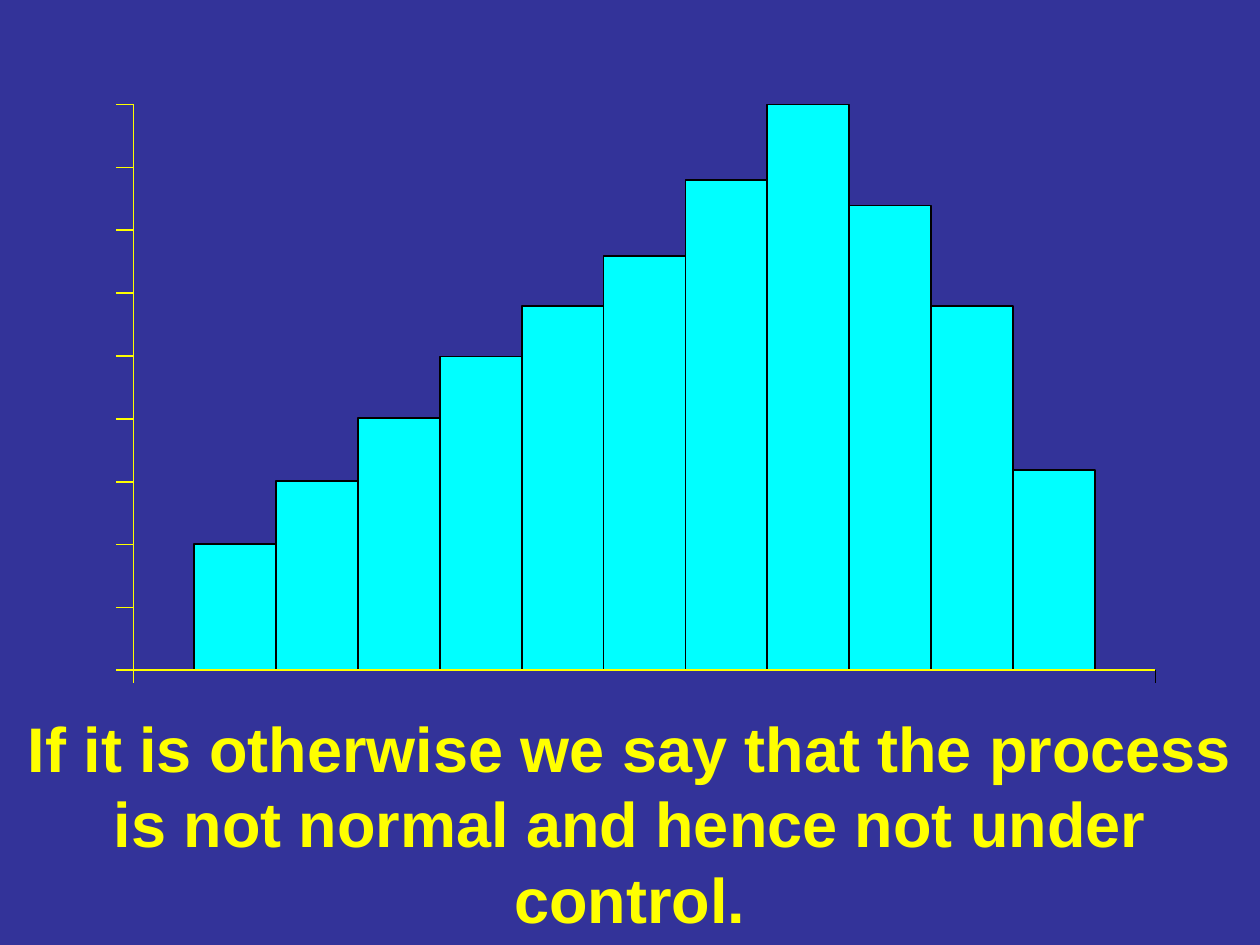
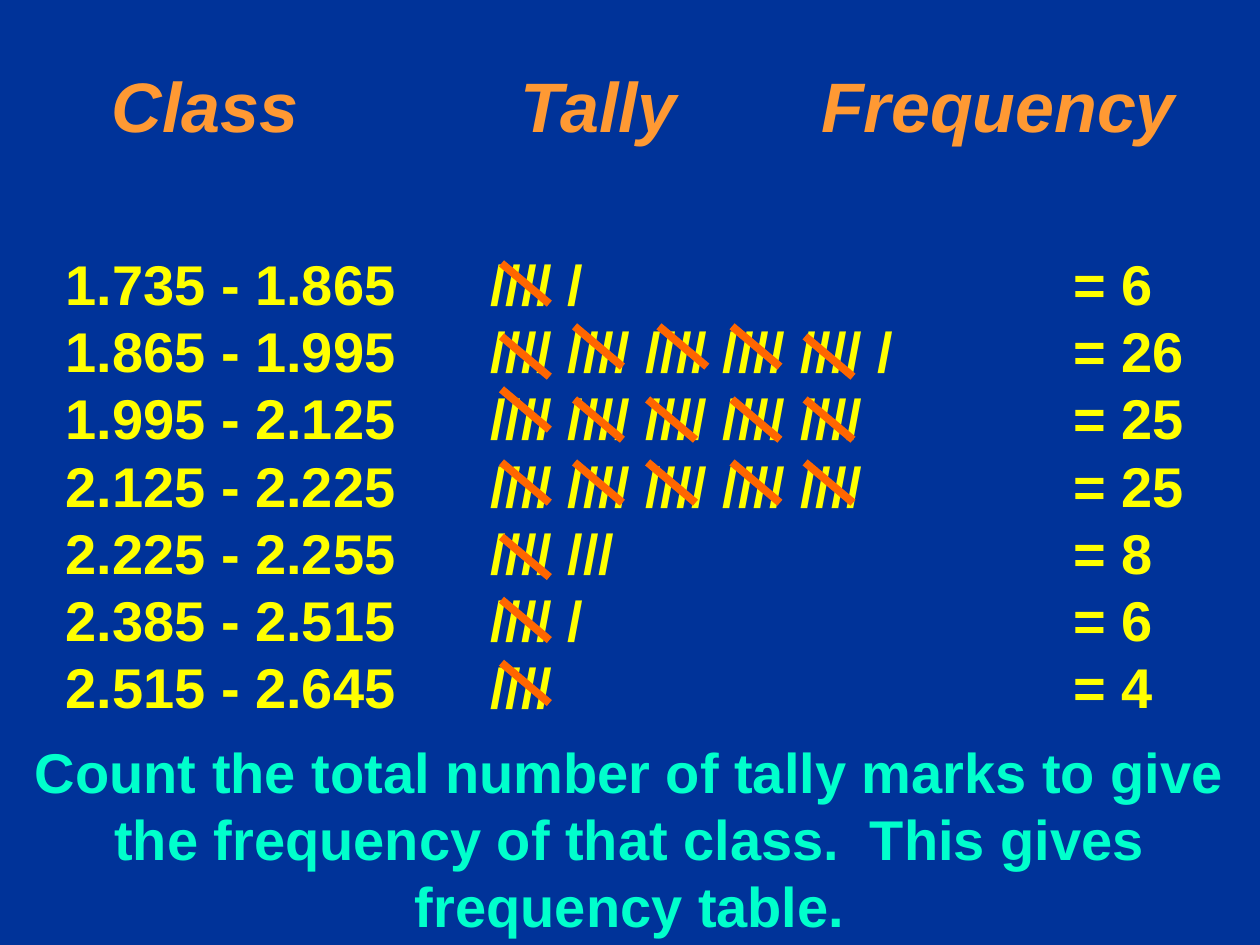
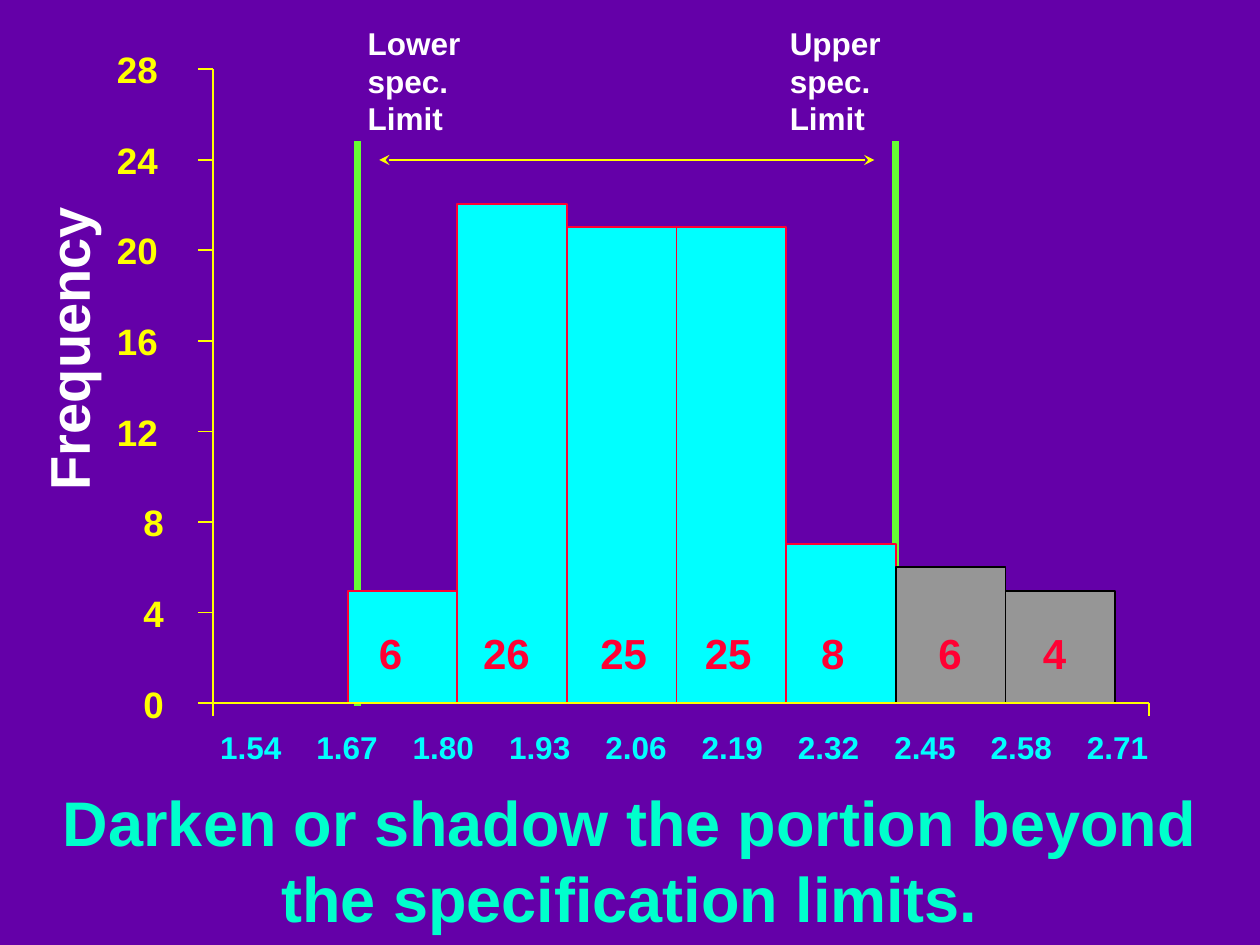
"""Builds three slides on histograms, tally counts and specification limits."""
from lxml import etree
from pptx import Presentation
from pptx import util as u
from pptx.dml.color import RGBColor
from pptx.enum import shapes, text
from pptx.oxml.ns import qn

YELLOW, CYAN, MINT, RED = "FFFF00", "00FFFF", "00FFCC", "FF0033"
BLACK, WHITE, GREEN, GREY = "000000", "FFFFFF", "66FF33", "969696"
ORANGE, RUST = "FF9933", "FF6600"
LEFT, MID = text.PP_ALIGN.LEFT, text.PP_ALIGN.CENTER
color = RGBColor.from_string


def write(frame, words, size=18, hue=YELLOW, align=LEFT, wrap=False,
          italic=False, anchor=text.MSO_ANCHOR.TOP):
    frame.word_wrap = wrap
    frame.vertical_anchor = anchor
    frame.text = words
    for para in frame.paragraphs:
        para.alignment = align
        font = para.runs[0].font
        font.name, font.size, font.bold = "Arial", u.Pt(size), True
        font.italic = italic
        font.color.rgb = color(hue)


def rule(slide, x1, y1, x2, y2, hue=YELLOW, width=1):
    line = slide.shapes.add_connector(
        shapes.MSO_CONNECTOR.STRAIGHT, *map(u.Inches, (x1, y1, x2, y2)))
    line.line.color.rgb = color(hue)
    line.line.width = u.Pt(width)
    etree.SubElement(line._element.spPr, qn("a:effectLst"))
    return line


deck = Presentation()
deck.slide_width, deck.slide_height = u.Inches(10), u.Inches(7.5)

pages = []
for back, words, top, size, hue in [
    ("333399", "If it is otherwise we say that the process is not normal "
     "and hence not under control.", 5.58, 36, YELLOW),
    ("003399", "Count the total number of tally marks to give the frequency "
     "of that class.  This gives frequency table.", 5.8, 32, MINT),
    ("6400A8", "Darken or shadow the portion beyond the specification limits.",
     6.17, 36, MINT),
]:
    page = deck.slides.add_slide(deck.slide_layouts[6])
    page.background.fill.solid()
    page.background.fill.fore_color.rgb = color(back)
    box = page.shapes.add_textbox(
        0, u.Inches(top), u.Inches(10), u.Inches(7.48 - top))
    write(box.text_frame, words, size=size, hue=hue, align=MID, wrap=True)
    pages.append(page)
skew, tally, limits = pages

for x in (2.84, 7.11):
    rule(limits, x, 1.12, x, 5.6 if x < 3 else 5.09, GREEN, 4)
span = rule(limits, 3.01, 1.27, 6.94, 1.27)
for end in ("headEnd", "tailEnd"):
    etree.SubElement(span.line._get_or_add_ln(), qn("a:" + end), type="stealth")

plots = [
    (skew, 1.54, 0.65, 5.32, 0.83, 9, 0.92, 1.06, 9.17, BLACK,
     [(tall, CYAN, BLACK) for tall in
      (1, 1.5, 2, 2.49, 2.89, 3.29, 3.89, 4.49, 3.69, 2.89, 1.59)]),
    (limits, 2.76, 0.87, 5.58, 0.55, 7, 1.57, 1.69, 9.12, YELLOW,
     [(tall, CYAN, RED) for tall in (0.89, 3.96, 3.78, 3.78, 1.26)]
     + [(tall, GREY, BLACK) for tall in (1.08, 0.89)]),
]
for page, left, wide, base, top, steps, tick, axis, right, end, bars in plots:
    for i, (tall, fill, edge) in enumerate(bars):
        bar = page.shapes.add_shape(
            shapes.MSO_SHAPE.RECTANGLE, u.Inches(left + i * wide),
            u.Inches(base - tall), u.Inches(wide), u.Inches(tall))
        bar.shadow.inherit = False
        bar.fill.solid()
        bar.fill.fore_color.rgb = color(fill)
        bar.line.color.rgb = color(edge)
        bar.line.width = u.Pt(1)
    rule(page, axis, top, axis, base)
    for i in range(steps + 1):
        y = base - i * (base - top) / steps
        rule(page, tick, y, axis, y)
    rule(page, axis, base, right, base)
    rule(page, axis, base + 0.1, axis, base)
    rule(page, right, base + 0.1, right, base, end)

for words, x in [("Class", 0.89), ("Tally", 4.13), ("Frequency", 6.52)]:
    box = tally.shapes.add_textbox(
        u.Inches(x - 0.1), u.Inches(0.48), u.Inches(3.3), u.Inches(0.7))
    write(box.text_frame, words, size=40, hue=ORANGE, wrap=True, italic=True,
          anchor=text.MSO_ANCHOR.MIDDLE)

rows = [
    ("1.735 - 1.865", "//// /", "= 6"),
    ("1.865 - 1.995", "//// //// //// //// //// /", "= 26"),
    ("1.995 - 2.125", "//// //// //// //// ////", "= 25"),
    ("2.125 - 2.225", "//// //// //// //// ////", "= 25"),
    ("2.225 - 2.255", "//// ///", "= 8"),
    ("2.385 - 2.515", "//// /", "= 6"),
    ("2.515 - 2.645", "////", "= 4"),
]
grid = tally.shapes.add_table(
    len(rows), 3, u.Inches(0.52), u.Inches(2),
    u.Inches(9.23), u.Inches(3.74)).table
grid.first_row = grid.horz_banding = False
for col, wide in zip(grid.columns, (3.37, 4.63, 1.23)):
    col.width = u.Inches(wide)
for r, row in enumerate(rows):
    for c, words in enumerate(row):
        cell = grid.cell(r, c)
        cell.fill.background()
        cell.margin_left = cell.margin_right = 0
        cell.margin_top = cell.margin_bottom = 0
        write(cell.text_frame, words, size=32)
        cell.vertical_anchor = text.MSO_ANCHOR.MIDDLE
        for i, side in enumerate(("lnL", "lnR", "lnT", "lnB")):
            edge = etree.Element(qn("a:" + side), w="0")
            etree.SubElement(edge, qn("a:noFill"))
            cell._tc.tcPr.insert(i, edge)

slots = (3.98, 4.56, 5.14, 5.81, 6.39)
for y, marks in [
    (2.09, slots[:1]), (2.67, (3.98, 6.39)), (2.59, (4.56, 5.23, 5.81)),
    (3.09, slots[:1]), (3.17, slots[1:]), (3.67, slots),
    (4.26, slots[:1]), (4.76, slots[:1]), (5.26, slots[:1]),
]:
    for x in marks:
        rule(tally, x, y, x + 0.38, y + 0.32, RUST, 4.5)

notes = [(str(4 * i), 1.04 if i < 3 else 0.83, 5.36 - 0.72 * i, 0.53, 0.45,
          21, YELLOW, LEFT) for i in range(8)]
notes += [(f"{1.54 + 0.13 * i:.2f}", 1.59 + 6.88 * i / 9, 5.73, 0.8, 0.4,
           18, CYAN, MID) for i in range(10)]
notes += [(count, x - 0.4, 4.93, 0.8, 0.5, 24, RED, MID) for count, x in zip(
    ("6", "26", "25", "25", "8", "6", "4"),
    (3.1, 4.02, 4.95, 5.78, 6.61, 7.54, 8.37))]
notes += [(name + "\nspec.\nLimit", x, 0.14, 0.94, 1, 18, WHITE, LEFT)
          for name, x in (("Lower", 2.82), ("Upper", 6.17))]
notes.append(("Frequency", -0.69, 2.45, 2.45, 0.63, 32, WHITE, LEFT))
for words, x, y, wide, tall, size, hue, align in notes:
    box = limits.shapes.add_textbox(*map(u.Inches, (x, y, wide, tall)))
    write(box.text_frame, words, size=size, hue=hue, align=align)
    if words == "Frequency":
        box.rotation = 270

deck.save("out.pptx")
